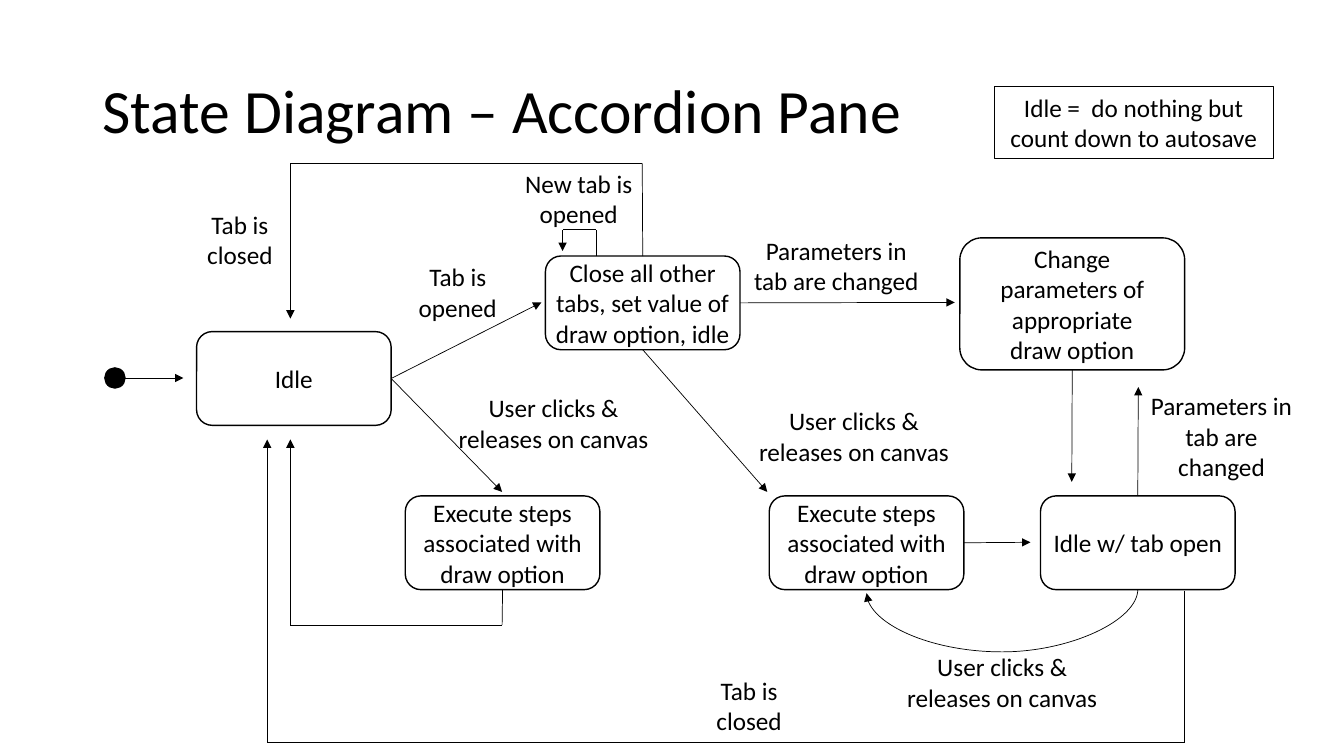
"""Build the accordion pane state diagram as one editable slide."""
from lxml import etree
from pptx import Presentation
from pptx.dml.color import RGBColor
from pptx.enum.shapes import MSO_CONNECTOR, MSO_SHAPE
from pptx.enum.text import MSO_ANCHOR, PP_ALIGN
from pptx.oxml.ns import qn
from pptx.util import Inches, Pt

INK = "000000"
FONT = "Calibri"
TOP, LEFT, BOTTOM, RIGHT = range(4)
STATE_W, STATE_H = 1.93, 0.93
UPPER, MIDDLE, LOWER = 2.54, 3.29, 4.92
IDLE_X, OUTER_X = 2.88, 2.65
RETURN_Y = 4.36

TITLE = ("State Diagram – Accordion Pane", 0.92, 0.4, 11.5, 1.45)
NOTE = ("Idle =  do nothing but count down to autosave", 9.86, 0.86, 2.77, 0.71)
STEPS = "Execute steps associated with draw option"
STATES = {
    "idle": ("Idle", 1.95, MIDDLE, STATE_W, STATE_H, 0.03),
    "set option": ("Close all other tabs, set value of draw option, idle",
                   5.41, UPPER, STATE_W, STATE_H, 0.03),
    "draw": (STEPS, 4.02, LOWER, STATE_W, STATE_H, 0.03),
    "draw in tab": (STEPS, 7.63, LOWER, STATE_W, STATE_H, 0.03),
    "idle in tab": ("Idle w/ tab open", 10.32, LOWER, STATE_W, STATE_H, 0.03),
    "change": ("Change parameters of appropriate draw option",
               9.52, 2.36, 2.23, 1.31, 0.18),
}
CLICK = "User clicks & releases on canvas"
CHANGED = "Parameters in tab are changed"
CLOSED = "Tab is closed"
LABELS = [
    ("New tab is opened", 5.04, 1.61, 1.4, 0.71),
    ("Tab is opened", 3.84, 2.54, 1.4, 0.71),
    (CLOSED, 1.68, 2.02, 1.4, 0.71),
    (CLOSED, 6.73, 6.64, 1.4, 0.71),
    (CHANGED, 7.33, 2.28, 1.93, 0.71),
    (CHANGED, 11.31, 3.82, 1.61, 1.01),
    (CLICK, 4.39, 3.84, 2.2, 0.71),
    (CLICK, 7.37, 3.97, 2.2, 0.71),
    (CLICK, 8.84, 6.41, 2.2, 0.71),
]
STATE_ROUTES = [
    ("idle", RIGHT, [(5.37, 3)]),
    ("idle", RIGHT, [(4.98, 4.88)]),
    ("set option", RIGHT, [(9.47, 3)]),
    ("set option", BOTTOM, [(7.61, 4.88)]),
    ("set option", TOP, [(6.37, 1.62), (IDLE_X, 1.62), (IDLE_X, 3.16)]),
    ("draw", BOTTOM, [(4.98, 6.2), (IDLE_X, 6.2), (IDLE_X, RETURN_Y)]),
    ("draw in tab", RIGHT, [(10.22, 5.38)]),
    ("change", BOTTOM, [(10.63, 4.78)]),
    ("idle in tab", TOP, [(11.29, 3.84)]),
]
FREE_ROUTES = [
    [(1.24, 3.75), (1.82, 3.75)],
    [(5.91, UPPER), (5.91, 2.28), (5.58, 2.28), (5.58, 2.49)],
    [(11.75, 5.86), (11.75, 7.36), (OUTER_X, 7.36), (OUTER_X, RETURN_Y)],
]


def color(hex_text):
    return RGBColor.from_string(hex_text)


def write(shape, text, size=18, align=PP_ALIGN.CENTER, inset=0.1):
    frame = shape.text_frame
    frame.word_wrap = True
    frame.vertical_anchor = MSO_ANCHOR.MIDDLE
    frame.margin_left = frame.margin_right = Inches(inset)
    frame.margin_top = frame.margin_bottom = 0
    paragraph = frame.paragraphs[0]
    paragraph.alignment = align
    run = paragraph.add_run()
    run.text = text
    run.font.name, run.font.size = FONT, Pt(size)
    run.font.color.rgb = color(INK)
    return paragraph


def add_box(kind, x, y, w, h, weight=1, fill=None):
    box = shapes.add_shape(kind, *map(Inches, (x, y, w, h)))
    box.shadow.inherit = False
    if fill:
        box.fill.solid()
        box.fill.fore_color.rgb = color(fill)
    else:
        box.fill.background()
    box.line.color.rgb = color(INK)
    box.line.width = Pt(weight)
    return box


def add_text(text, x, y, w, h, **style):
    return write(shapes.add_textbox(*map(Inches, (x, y, w, h))), text, **style)


def add_line(start, end, arrow, kind=MSO_CONNECTOR.STRAIGHT):
    line = shapes.add_connector(kind, *map(Inches, (*start, *end)))
    line.line.color.rgb = color(INK)
    line.line.width = Pt(0.5)
    if arrow:
        etree.SubElement(line.line._get_or_add_ln(), qn("a:tailEnd"), type="triangle")
    etree.SubElement(line._element.spPr, qn("a:effectLst"))
    return line


def add_route(points):
    pairs = list(zip(points, points[1:]))
    return [add_line(a, b, i == len(pairs)) for i, (a, b) in enumerate(pairs, 1)]


def add_return_curve(x, y, w, h, bend):
    curve = add_line((x, y), (x + w, y + h), True, MSO_CONNECTOR.CURVE)
    properties = curve._element.spPr
    properties.find(qn("a:xfrm")).set("rot", str(90 * 60000))
    geometry = properties.find(qn("a:prstGeom"))
    adjustments = geometry.find(qn("a:avLst"))
    if adjustments is None:
        adjustments = etree.SubElement(geometry, qn("a:avLst"))
    etree.SubElement(adjustments, qn("a:gd"), name="adj1",
                     fmla=f"val {round(bend / w * 100000)}")


deck = Presentation()
deck.slide_width, deck.slide_height = Inches(13.33), Inches(7.5)
shapes = deck.slides.add_slide(deck.slide_layouts[6]).shapes

add_text(*TITLE, size=44, align=PP_ALIGN.LEFT).line_spacing = 0.9
write(add_box(MSO_SHAPE.RECTANGLE, *NOTE[1:], weight=0.75), NOTE[0])
add_box(MSO_SHAPE.OVAL, 1.04, 3.65, 0.2, 0.2, fill=INK)

state_boxes = {}
for name, (text, *place, inset) in STATES.items():
    state_boxes[name] = add_box(MSO_SHAPE.ROUNDED_RECTANGLE, *place)
    write(state_boxes[name], text, inset=inset)

for label in LABELS:
    add_text(*label)

for name, side, stops in STATE_ROUTES:
    _, x, y, w, h, _ = STATES[name]
    exits = {TOP: (x + w / 2, y), LEFT: (x, y + h / 2),
             BOTTOM: (x + w / 2, y + h), RIGHT: (x + w, y + h / 2)}
    add_route([exits[side], *stops])[0].begin_connect(state_boxes[name], side)

for route in FREE_ROUTES:
    add_route(route)
add_return_curve(9.92, 4.52, 0.04, 2.69, bend=0.62)

deck.save("out.pptx")
